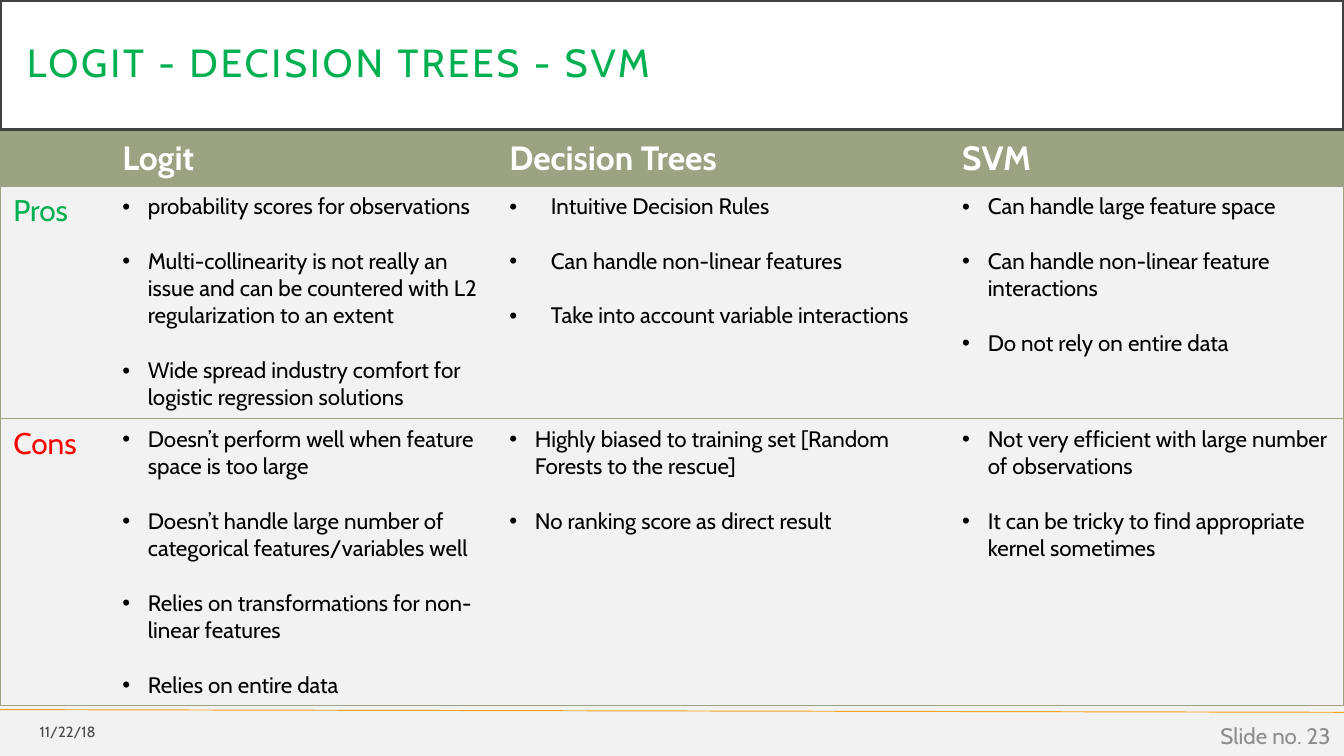
from dataclasses import dataclass

import pptx
import pptx.dml.color
import pptx.enum.shapes
import pptx.enum.text
import pptx.oxml
import pptx.oxml.ns
import pptx.util
from lxml import etree
from pptx.dml.color import RGBColor
from pptx.util import Inches, Pt

FONT = "Cabin"
WHITE = RGBColor(0xFF, 0xFF, 0xFF)
BLACK = RGBColor(0x00, 0x00, 0x00)
PAPER = RGBColor(0xF2, 0xF2, 0xF2)
SAGE = RGBColor(0x9C, 0xA3, 0x83)
GREEN = RGBColor(0x00, 0xB0, 0x50)
RED = RGBColor(0xFF, 0x00, 0x00)
ORANGE = RGBColor(0xF6, 0xA2, 0x1D)
CHARCOAL = RGBColor(0x40, 0x40, 0x40)
DATE_GREY = RGBColor(0x49, 0x49, 0x49)
NUMBER_GREY = RGBColor(0x8C, 0x8C, 0x8C)

SLIDE_WIDTH = Inches(10)
SLIDE_HEIGHT = SLIDE_WIDTH * 9 // 16
COLUMN_WIDTHS = [0.81, 2.88, 3.37, 2.94]
ROW_HEIGHTS = [0.4, 1.73, 2.13]
HEADINGS = ["", "Logit", "Decision Trees", "SVM"]
BULLET_GAP = Pt(14.6)


@dataclass
class BulletList:
    items: list[str]
    indent: float = 0.19


@dataclass
class ComparisonRow:
    label: str
    color: RGBColor
    lists: list[BulletList]


@dataclass
class FooterText:
    text: str
    box: tuple[float, float, float, float]
    size: float
    color: RGBColor


ROWS = [
    ComparisonRow("Pros", GREEN, [
        BulletList([
            "probability scores for observations",
            "Multi-collinearity is not really an issue and can be countered "
            "with L2 regularization to an extent",
            "Wide spread industry comfort for logistic regression solutions",
        ]),
        BulletList([
            "Intuitive Decision Rules",
            "Can handle non-linear features",
            "Take into account variable interactions",
        ], indent=0.31),
        BulletList([
            "Can handle large feature space",
            "Can handle non-linear feature interactions",
            "Do not rely on entire data",
        ]),
    ]),
    ComparisonRow("Cons", RED, [
        BulletList([
            "Doesn’t perform well when feature space is too large",
            "Doesn’t handle large number of categorical features/variables well",
            "Relies on transformations for non-linear features",
            "Relies on entire data",
        ]),
        BulletList([
            "Highly biased to training set [Random Forests to the rescue]",
            "No ranking score as direct result",
        ]),
        BulletList([
            "Not very efficient with large number of observations",
            "It can be tricky to find appropriate kernel sometimes",
        ]),
    ]),
]

FOOTERS = [
    FooterText("11/22/18", (0, 5.31, 0.81, 0.27), 7.9, DATE_GREY),
    FooterText("Slide no. 23", (7.75, 5.32, 2.25, 0.3), 12, NUMBER_GREY),
]


def write_text(paragraph, text: str, *, size: float, color: RGBColor, bold: bool = False,
               align=pptx.enum.text.PP_ALIGN.LEFT, spacing: float = 0) -> None:
    paragraph.alignment = align
    run = paragraph.add_run()
    run.text = text
    run.font.name = FONT
    run.font.size = Pt(size)
    run.font.bold = bold
    run.font.color.rgb = color
    if spacing:
        run.font._element.set("spc", str(round(spacing * 100)))


def add_bullet(paragraph, indent: float) -> None:
    properties = paragraph._p.get_or_add_pPr()
    properties.set("marL", str(Inches(indent)))
    properties.set("indent", str(-Inches(indent)))
    font = etree.SubElement(properties, pptx.oxml.ns.qn("a:buFont"))
    font.set("typeface", "Arial")
    bullet = etree.SubElement(properties, pptx.oxml.ns.qn("a:buChar"))
    bullet.set("char", "•")


def set_borders(cell, visible: set[str]) -> None:
    """Draw the edges named in visible (L, R, T, B) and clear the others."""
    properties = cell._tc.get_or_add_tcPr()
    for edge in "LRTB":
        line = etree.SubElement(properties, pptx.oxml.ns.qn(f"a:ln{edge}"))
        line.set("w", str(Pt(0.5)))
        if edge in visible:
            fill = etree.SubElement(line, pptx.oxml.ns.qn("a:solidFill"))
            color = etree.SubElement(fill, pptx.oxml.ns.qn("a:srgbClr"))
            color.set("val", str(SAGE))
        else:
            etree.SubElement(line, pptx.oxml.ns.qn("a:noFill"))


def fill_list(cell, bullets: BulletList) -> None:
    frame = cell.text_frame
    for index, item in enumerate(bullets.items):
        paragraph = frame.add_paragraph() if index else frame.paragraphs[0]
        if index:
            paragraph.space_before = BULLET_GAP
        add_bullet(paragraph, bullets.indent)
        write_text(paragraph, item, size=12, color=BLACK)


def add_footer_rule(slide) -> None:
    rule = slide.shapes.add_connector(pptx.enum.shapes.MSO_CONNECTOR.STRAIGHT,
                                      Inches(0), Inches(5.28), SLIDE_WIDTH, Inches(5.3))
    rule.line.color.rgb = ORANGE
    rule.line.width = Pt(0.5)
    etree.SubElement(rule._element.spPr, pptx.oxml.ns.qn("a:effectLst"))


def add_title(slide) -> None:
    title = slide.shapes.add_shape(pptx.enum.shapes.MSO_SHAPE.RECTANGLE,
                                   Inches(0), Inches(0), SLIDE_WIDTH, Inches(0.97))
    title.shadow.inherit = False
    title.fill.solid()
    title.fill.fore_color.rgb = WHITE
    title.line.color.rgb = CHARCOAL
    title.line.width = Pt(2.5)
    frame = title.text_frame
    frame.margin_left = frame.margin_right = Inches(0.2)
    frame.margin_top = frame.margin_bottom = Inches(0.2)
    frame.vertical_anchor = pptx.enum.text.MSO_ANCHOR.MIDDLE
    frame.paragraphs[0].line_spacing = 0.9
    write_text(frame.paragraphs[0], "LOGIT - DECISION TREES - SVM",
               size=21, color=GREEN, spacing=1.5)


def add_comparison_table(slide) -> None:
    table = slide.shapes.add_table(
        len(ROW_HEIGHTS), len(COLUMN_WIDTHS), Inches(0), Inches(0.98),
        Inches(sum(COLUMN_WIDTHS)), Inches(sum(ROW_HEIGHTS))).table
    for column, width in zip(table.columns, COLUMN_WIDTHS):
        column.width = Inches(width)
    for row, height in zip(table.rows, ROW_HEIGHTS):
        row.height = Inches(height)

    last_column = len(COLUMN_WIDTHS) - 1
    for row_index, row in enumerate(table.rows):
        for column_index, cell in enumerate(row.cells):
            edges = {"T", "B"}
            if column_index == 0:
                edges.add("L")
            if column_index == last_column:
                edges.add("R")
            set_borders(cell, edges)
            cell.fill.solid()
            cell.fill.fore_color.rgb = PAPER if row_index else SAGE

    for column_index, heading in enumerate(HEADINGS):
        if heading:
            write_text(table.cell(0, column_index).text_frame.paragraphs[0], heading,
                       size=18, color=WHITE, bold=True)
    for row_index, row in enumerate(ROWS, start=1):
        write_text(table.cell(row_index, 0).text_frame.paragraphs[0], row.label,
                   size=16, color=row.color)
        for column_index, bullets in enumerate(row.lists, start=1):
            fill_list(table.cell(row_index, column_index), bullets)


def add_footer(slide, footer: FooterText) -> None:
    frame = slide.shapes.add_textbox(*map(Inches, footer.box)).text_frame
    frame.word_wrap = True
    frame.vertical_anchor = pptx.enum.text.MSO_ANCHOR.MIDDLE
    write_text(frame.paragraphs[0], footer.text, size=footer.size, color=footer.color,
               align=pptx.enum.text.PP_ALIGN.RIGHT)


def main() -> None:
    presentation = pptx.Presentation()
    presentation.slide_width, presentation.slide_height = SLIDE_WIDTH, SLIDE_HEIGHT
    slide = presentation.slides.add_slide(presentation.slide_layouts[6])
    slide.background.fill.solid()
    slide.background.fill.fore_color.rgb = PAPER
    add_footer_rule(slide)
    add_title(slide)
    add_comparison_table(slide)
    for footer in FOOTERS:
        add_footer(slide, footer)
    presentation.save("out.pptx")


if __name__ == "__main__":
    main()
